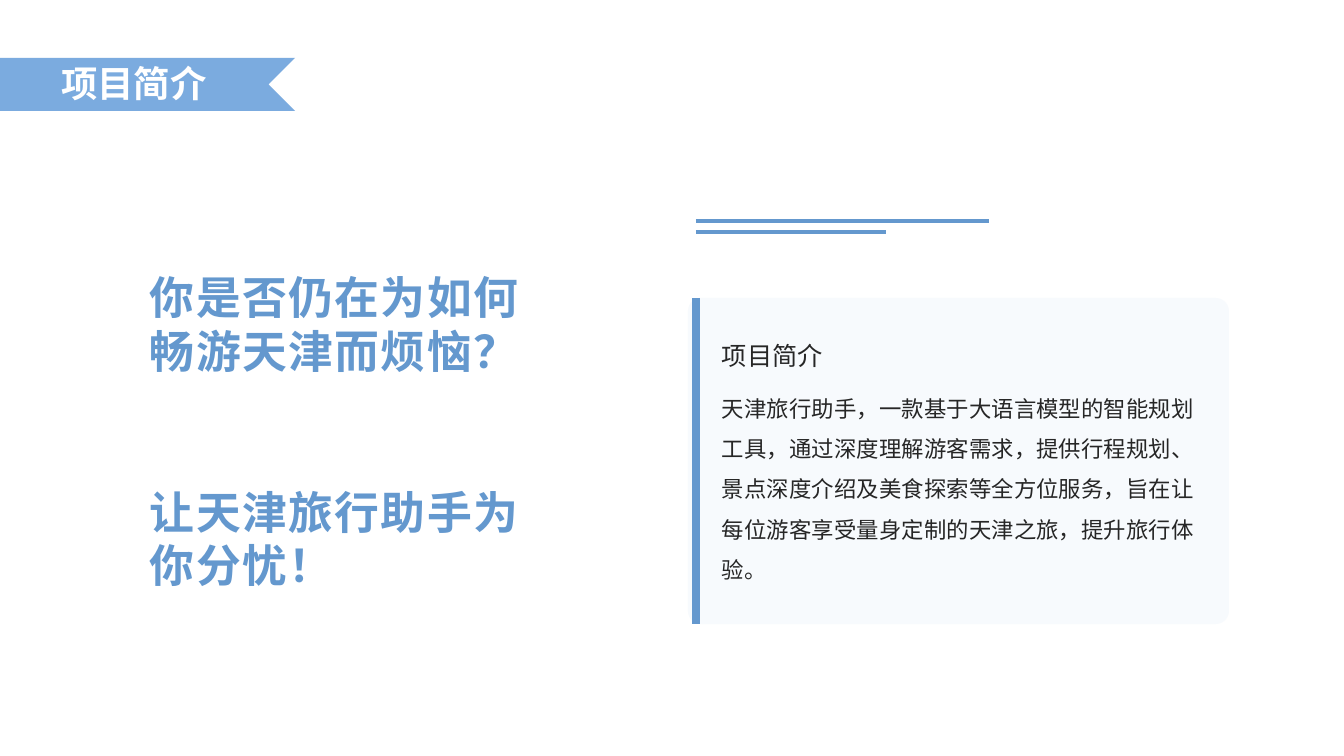
from lxml.etree import SubElement
from pptx import Presentation
from pptx.dml.color import RGBColor
from pptx.enum.shapes import MSO_CONNECTOR as CONNECTOR, MSO_SHAPE as SHAPE
from pptx.enum.text import MSO_ANCHOR as ANCHOR, PP_ALIGN as ALIGN
from pptx.oxml.ns import qn
from pptx.util import Emu, Pt

WHITE = RGBColor(0xFF, 0xFF, 0xFF)
SKY = RGBColor(0x7B, 0xAB, 0xDF)
BLUE = RGBColor(0x64, 0x98, 0xCE)
PALE = RGBColor(0xF7, 0xFA, 0xFD)
INK = RGBColor(0x26, 0x26, 0x26)
FONT = "Noto Sans CJK SC"
PX_PER_INCH = 100.8


def px(length):
    return Emu(round(length * 914400 / PX_PER_INCH))


def write(shape, texts, size, color, bold=False, align=ALIGN.LEFT,
          anchor=ANCHOR.TOP, line=None, gap=0, tracking=0):
    frame = shape.text_frame
    frame.word_wrap = True
    frame.vertical_anchor = anchor
    frame.margin_left = frame.margin_right = 0
    frame.margin_top = frame.margin_bottom = 0
    for index, text in enumerate(texts):
        paragraph = frame.add_paragraph() if index else frame.paragraphs[0]
        paragraph.alignment = align
        paragraph.space_before = Pt(gap if index else 0)
        if line:
            paragraph.line_spacing = Pt(line)
        run = paragraph.add_run()
        run.text = text
        font = run.font
        font.size, font.bold, font.name = Pt(size), bold, FONT
        font.color.rgb = color
        properties = run._r.get_or_add_rPr()
        SubElement(properties, qn("a:ea"), typeface=FONT)
        if tracking:
            properties.set("spc", str(tracking * 100))


def add_text(slide, box, texts, **style):
    write(slide.shapes.add_textbox(*map(px, box)), texts, **style)


def add_filled(slide, kind, box, color):
    shape = slide.shapes.add_shape(kind, *map(px, box))
    shape.shadow.inherit = False
    shape.fill.solid()
    shape.fill.fore_color.rgb = color
    shape.line.fill.background()
    return shape


def add_rule(slide, start, end, width):
    rule = slide.shapes.add_connector(CONNECTOR.STRAIGHT, *map(px, start + end))
    rule.line.color.rgb = BLUE
    rule.line.width = Pt(width)
    SubElement(rule._element.spPr, qn("a:effectLst"))


def add_banner(slide, box, text):
    left, top, width, height = box
    ribbon = add_filled(slide, SHAPE.CHEVRON, box, SKY)
    ribbon.rotation = 180
    title = slide.shapes.title
    title.left, title.top = px(left), px(top - 2)
    title.width, title.height = px(width), px(height)
    slide.shapes._spTree.append(title._element)
    write(title, [text], size=26, color=WHITE, bold=True,
          align=ALIGN.CENTER, anchor=ANCHOR.MIDDLE)


def add_slogan(slide, box, lines):
    add_text(slide, box, lines, size=32, color=BLUE, bold=True,
             line=38.5, gap=76, tracking=1)


def add_accent(slide, box):
    left, top, width, height = box
    for y, length in ((top, width), (top + height, 190)):
        add_rule(slide, (left, y), (left + length, y), 2.25)


def add_card(slide, box, heading, body):
    left, top, width, height = box
    panel = add_filled(slide, SHAPE.ROUNDED_RECTANGLE, box, PALE)
    panel.adjustments[0] = 0.04
    add_rule(slide, (left + 8, top), (left + 8, top + height), 6)
    text_left, text_width = left + 34, width - 69
    add_text(slide, (text_left, top + 38, text_width, 35), [heading],
             size=18, color=INK, line=25)
    add_text(slide, (text_left, top + 84, text_width, 202), [body],
             size=16, color=INK, line=28.7, align=ALIGN.JUSTIFY)


def main():
    presentation = Presentation()
    presentation.slide_width = px(1344)
    presentation.slide_height = px(756)
    slide = presentation.slides.add_slide(presentation.slide_layouts[5])
    add_banner(slide, (-27, 58, 322, 53), "项目简介")
    add_card(slide, (688, 298, 541, 326), "项目简介",
             "天津旅行助手，一款基于大语言模型的智能规划工具，通过深度理解游客需求，"
             "提供行程规划、景点深度介绍及美食探索等全方位服务，"
             "旨在让每位游客享受量身定制的天津之旅，提升旅行体验。")
    add_accent(slide, (696, 221, 293, 11))
    add_slogan(slide, (150, 270, 394, 322),
               ["你是否仍在为如何畅游天津而烦恼？", "让天津旅行助手为你分忧！"])
    presentation.save("out.pptx")


if __name__ == "__main__":
    main()
